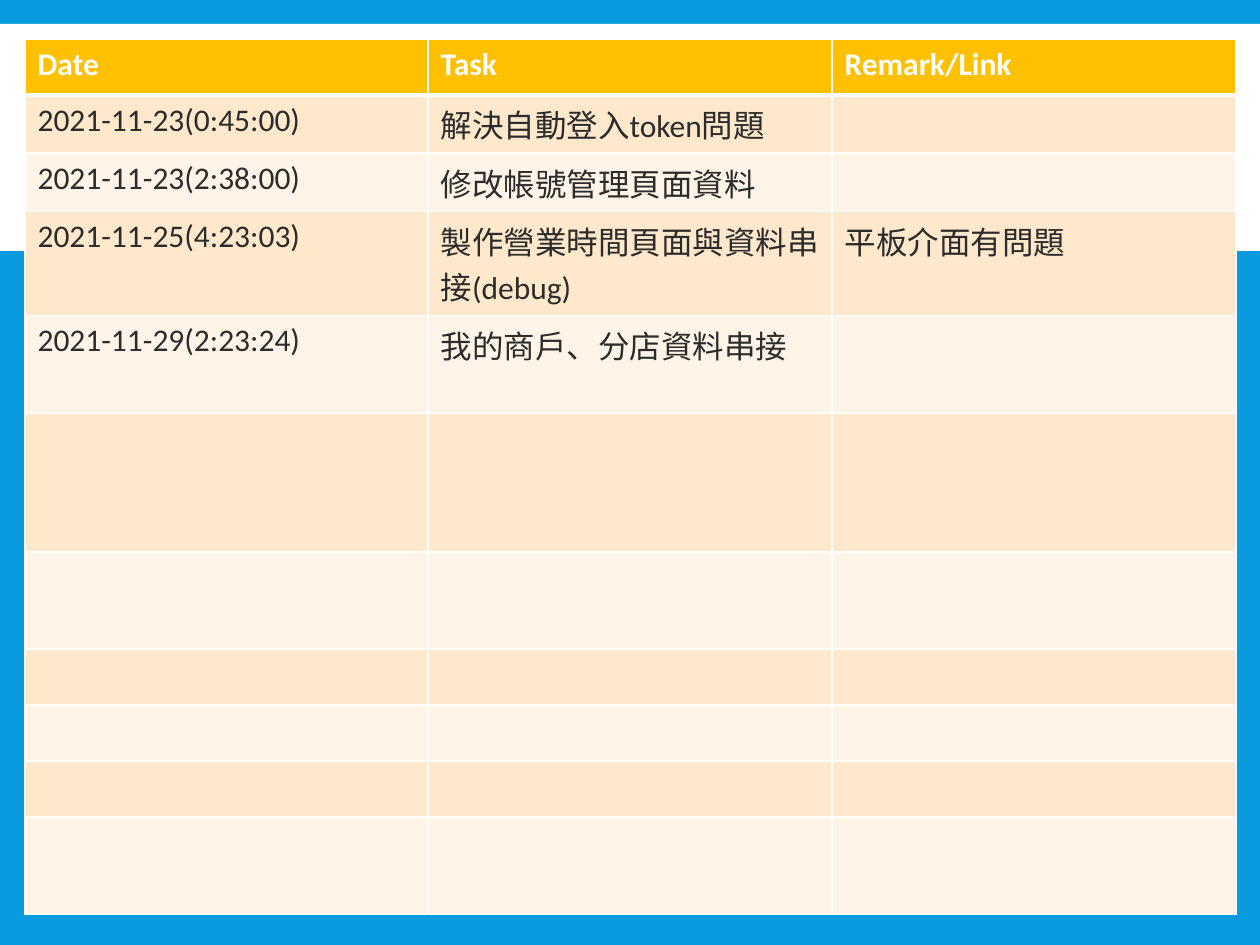
from dataclasses import dataclass
from lxml import etree
from pptx import Presentation
from pptx import util as u
from pptx.dml.color import RGBColor
from pptx.enum import shapes
from pptx.oxml.ns import qn


@dataclass(frozen=True)
class Theme:
    background: str = "099BDD"
    white: str = "FFFFFF"
    header: str = "FFC000"
    bands: tuple = ("FFE8CC", "FFF4E7")
    ink: str = "2C2C2C"
    font: str = "Calibri"
    size: int = 18
    rule: int = 1
    header_rule: int = 3


def px(length):
    return u.Emu(round(length * u.Inches(1) / 126))


class Painter:
    def __init__(self, page, theme):
        self.page = page
        self.theme = theme

    def background(self):
        fill = self.page.background.fill
        fill.solid()
        fill.fore_color.rgb = RGBColor.from_string(self.theme.background)

    def panel(self, left, top, width, height):
        panel = self.page.shapes.add_shape(
            shapes.MSO_SHAPE.RECTANGLE, px(left), px(top), px(width), px(height))
        panel.shadow.inherit = False
        panel.fill.solid()
        panel.fill.fore_color.rgb = RGBColor.from_string(self.theme.white)
        panel.line.fill.background()

    def borders(self, cell, weights):
        properties = cell._tc.get_or_add_tcPr()
        for index, (side, weight) in enumerate(zip("LRTB", weights)):
            line = etree.Element(qn(f"a:ln{side}"), w=str(u.Pt(weight)))
            fill = etree.SubElement(line, qn("a:solidFill"))
            etree.SubElement(fill, qn("a:srgbClr"), val=self.theme.white)
            properties.insert(index, line)

    def cell(self, cell, words, row):
        theme = self.theme
        is_header = row == 0
        cell.fill.solid()
        cell.fill.fore_color.rgb = RGBColor.from_string(
            theme.header if is_header else theme.bands[(row - 1) % 2])
        top = theme.header_rule if row == 1 else theme.rule
        bottom = theme.header_rule if is_header else theme.rule
        self.borders(cell, (theme.rule, theme.rule, top, bottom))
        if not words:
            return
        cell.text_frame.text = words
        for para in cell.text_frame.paragraphs:
            for span in para.runs:
                span.font.name = theme.font
                span.font.size = u.Pt(theme.size)
                span.font.bold = is_header
                span.font.color.rgb = RGBColor.from_string(
                    theme.white if is_header else theme.ink)

    def table(self, left, top, width, heights, rows):
        count = len(rows[0])
        edges = [width * i // count for i in range(count + 1)]
        table = self.page.shapes.add_table(
            len(heights), count, px(left), px(top), px(width), px(sum(heights))).table
        for column, start, end in zip(table.columns, edges, edges[1:]):
            column.width = px(end - start)
        for row, height in enumerate(heights):
            table.rows[row].height = px(height)
            words = rows[row] if row < len(rows) else ("",) * count
            for column, value in enumerate(words):
                self.cell(table.cell(row, column), value, row)


TASKS = [
    ("Date", "Task", "Remark/Link"),
    ("2021-11-23(0:45:00)", "解決自動登入token問題", ""),
    ("2021-11-23(2:38:00)", "修改帳號管理頁面資料", ""),
    ("2021-11-25(4:23:03)", "製作營業時間頁面與資料串接(debug)", "平板介面有問題"),
    ("2021-11-29(2:23:24)", "我的商戶、分店資料串接", ""),
]
ROW_HEIGHTS = [56, 56, 56, 98, 98, 139, 97, 56, 56, 56, 97]

deck = Presentation()
deck.slide_width, deck.slide_height = px(1260), px(945)
painter = Painter(deck.slides.add_slide(deck.slide_layouts[6]), Theme())
painter.background()
painter.panel(0, 24, 1260, 227)
painter.table(25, 39, 1211, ROW_HEIGHTS, TASKS)
deck.save("out.pptx")
